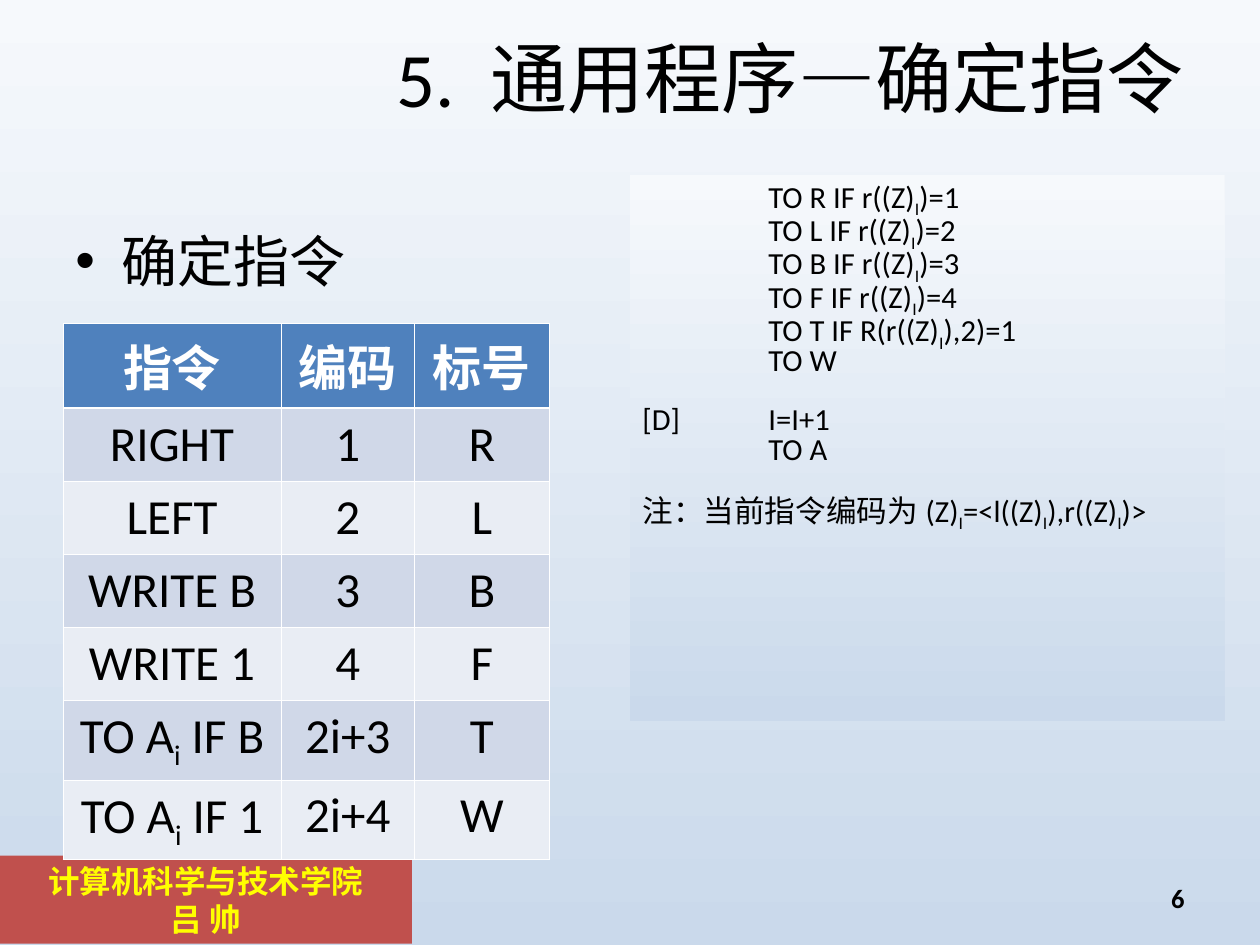
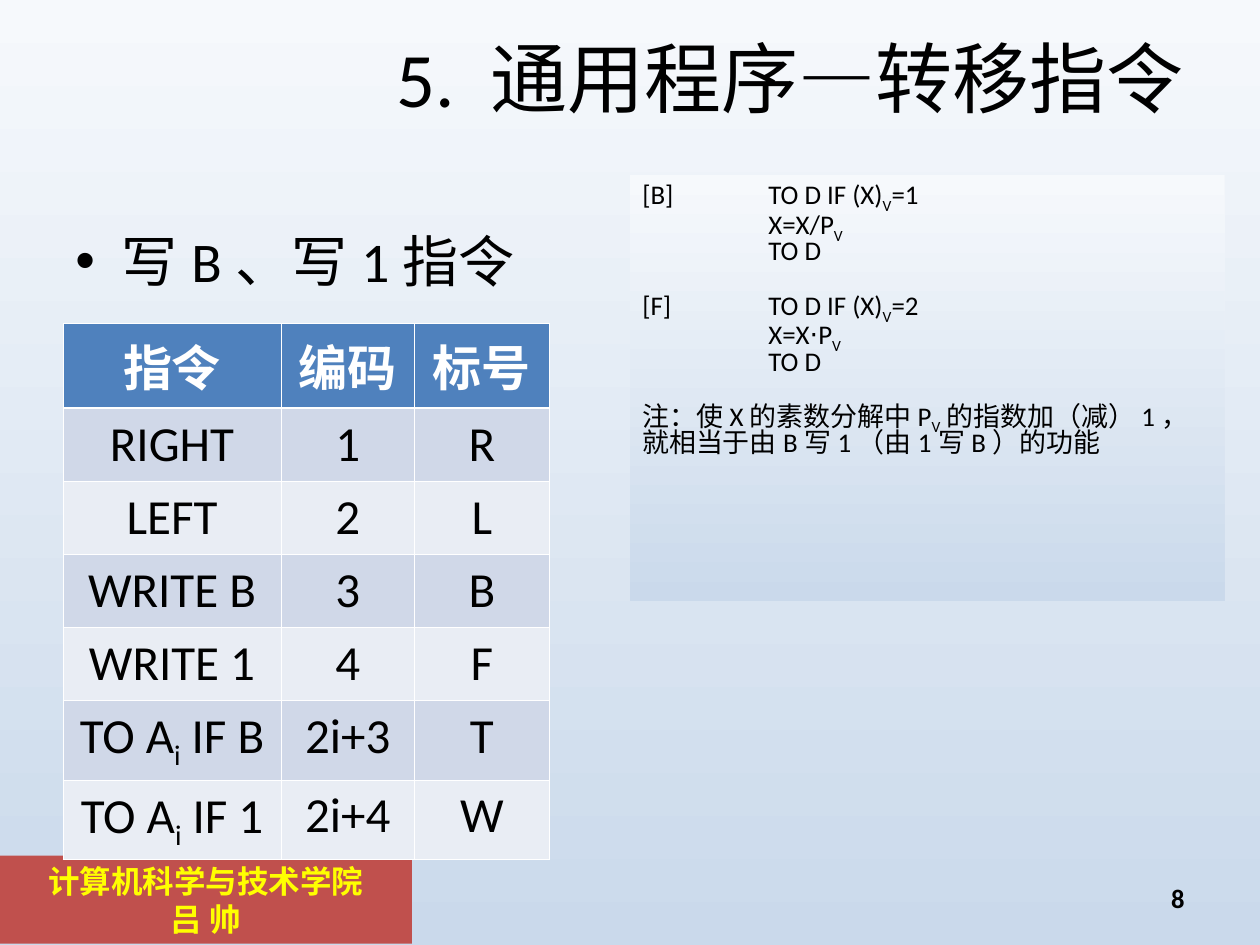
from dataclasses import dataclass

from lxml.etree import SubElement
from pptx import Presentation
from pptx.dml.color import RGBColor
from pptx.enum.shapes import MSO_SHAPE
from pptx.enum.text import MSO_ANCHOR, PP_ALIGN
from pptx.oxml.ns import qn
from pptx.util import Inches, Pt


@dataclass(frozen=True)
class Theme:
    font: str = "Calibri"
    symbol_font: str = "Arial"
    black: str = "000000"
    white: str = "FFFFFF"
    sky_top: str = "F6F9FC"
    sky_bottom: str = "CAD9EB"
    band: str = "C0504D"
    band_text: str = "FFFF00"
    header: str = "4F81BD"
    row_dark: str = "D0D8E8"
    row_light: str = "E9EDF4"
    title_size: float = 44
    topic_size: float = 32
    table_size: float = 28
    band_size: float = 18
    number_size: float = 15.2
    thin_line: float = 0.45
    thick_line: float = 1.47


theme = Theme()

SLIDES = [
    {
        "title": "5. 通用程序—确定指令",
        "topic": "确定指令",
        "number": "6",
        "code_height": 4.33,
        "code_size": 17.5,
        "code": [
            ["\tTO R IF r((Z)_I)=1", "\tTO L IF r((Z)_I)=2", "\tTO B IF r((Z)_I)=3",
             "\tTO F IF r((Z)_I)=4", "\tTO T IF R(r((Z)_I),2)=1", "\tTO W"],
            ["[D]\tI=I+1", "\tTO A"],
            ["注：当前指令编码为(Z)_I=<l((Z)_I),r((Z)_I)>"],
        ],
    },
    {
        "title": "5. 通用程序—转移指令",
        "topic": "写B、写1指令",
        "number": "8",
        "code_height": 3.38,
        "code_size": 15.4,
        "code": [
            ["[B]\tTO D IF (X)_V=1", "\tX=X/P_V", "\tTO D"],
            ["[F]\tTO D IF (X)_V=2", "\tX=X⋅P_V", "\tTO D"],
            ["注：使X的素数分解中P_V的指数加（减）1，就相当于由B写1（由1写B）的功能"],
        ],
    },
]

INSTRUCTIONS = [
    ("指令", "编码", "标号"),
    ("RIGHT", "1", "R"),
    ("LEFT", "2", "L"),
    ("WRITE B", "3", "B"),
    ("WRITE 1", "4", "F"),
    ("TO A_i IF B", "2i+3", "T"),
    ("TO A_i IF 1", "2i+4", "W"),
]
COLUMN_WIDTHS = [1.73, 1.06, 1.07]
ROW_HEIGHTS = [0.67] + [0.58] * 4 + [0.63] * 2


def write(frame, blocks, size, color=theme.black, font=theme.font, bold=False,
          align=PP_ALIGN.LEFT, anchor=MSO_ANCHOR.TOP, line_spacing=None,
          before=0, block_gap=0, tab=None):
    """Write blocks of lines; an underscore makes the next letter a subscript."""
    frame.word_wrap = True
    frame.vertical_anchor = anchor
    lines = [(line, block_gap if block_index and not line_index else before)
             for block_index, block in enumerate(blocks)
             for line_index, line in enumerate(block)]
    for index, (line, gap) in enumerate(lines):
        para = frame.add_paragraph() if index else frame.paragraphs[0]
        para.alignment = align
        para.space_before = Pt(gap)
        para.line_spacing = line_spacing
        if tab:
            stops = SubElement(para._p.get_or_add_pPr(), qn("a:tabLst"))
            SubElement(stops, qn("a:tab"), pos=str(Inches(tab)), algn="l")
        first, *rest = line.split("_")
        pieces = [(first, False)]
        for part in rest:
            pieces += [(part[0], True), (part[1:], False)]
        for piece, lowered in pieces:
            for text in piece.replace("⋅", "|⋅|").split("|"):
                if not text:
                    continue
                span = para.add_run()
                span.text = text
                span.font.name = theme.symbol_font if text == "⋅" else font
                span.font.size = Pt(size)
                span.font.bold = bold
                span.font.color.rgb = RGBColor.from_string(color)
                if lowered:
                    span.font._element.set("baseline", "-25000")


def fill_sky(fill):
    """Fill with the pale vertical gradient shared by pages and code boxes."""
    fill.gradient()
    fill.gradient_angle = 270
    for stop, color in zip(fill.gradient_stops, (theme.sky_top, theme.sky_bottom)):
        stop.color.rgb = RGBColor.from_string(color)


deck = Presentation()
deck.slide_width = Inches(10)
deck.slide_height = Inches(7.5)

for content in SLIDES:
    page = deck.slides.add_slide(deck.slide_layouts[6])
    fill_sky(page.background.fill)

    # Footer band
    band = page.shapes.add_shape(MSO_SHAPE.RECTANGLE, Inches(0), Inches(6.79),
                                 Inches(3.27), Inches(0.7))
    band.shadow.inherit = False
    band.fill.solid()
    band.fill.fore_color.rgb = RGBColor.from_string(theme.band)
    band.line.fill.background()
    write(band.text_frame, [["计算机科学与技术学院", "吕 帅"]], theme.band_size,
          color=theme.band_text, font=theme.symbol_font, bold=True,
          align=PP_ALIGN.CENTER)

    # Title, topic and page number
    title = page.shapes.add_textbox(Inches(0.5), Inches(0.3), Inches(9), Inches(0.61))
    write(title.text_frame, [[content["title"]]], theme.title_size,
          align=PP_ALIGN.RIGHT, anchor=MSO_ANCHOR.MIDDLE)

    topic = page.shapes.add_textbox(Inches(0.5), Inches(1.75), Inches(4.5), Inches(4.95))
    write(topic.text_frame, [[content["topic"]]], theme.topic_size, before=8)
    bullet_format = topic.text_frame.paragraphs[0]._p.get_or_add_pPr()
    bullet_format.set("marL", str(Inches(0.37)))
    bullet_format.set("indent", str(Inches(-0.37)))
    SubElement(bullet_format, qn("a:buFont"), typeface="Arial")
    SubElement(bullet_format, qn("a:buChar"), char="•")

    number = page.shapes.add_textbox(Inches(7.17), Inches(6.95), Inches(2.33), Inches(0.4))
    write(number.text_frame, [[content["number"]]], theme.number_size, bold=True,
          align=PP_ALIGN.RIGHT, anchor=MSO_ANCHOR.MIDDLE, line_spacing=0.8, before=8)

    # Program listing
    code_box = page.shapes.add_shape(MSO_SHAPE.RECTANGLE, Inches(5), Inches(1.39),
                                     Inches(4.72), Inches(content["code_height"]))
    code_box.shadow.inherit = False
    fill_sky(code_box.fill)
    code_box.line.fill.background()
    write(code_box.text_frame, content["code"], content["code_size"],
          line_spacing=0.8, block_gap=content["code_size"] * 0.96, tab=1)

    # Instruction table
    table = page.shapes.add_table(len(INSTRUCTIONS), len(COLUMN_WIDTHS), Inches(0.5),
                                  Inches(2.57), Inches(sum(COLUMN_WIDTHS)),
                                  Inches(sum(ROW_HEIGHTS))).table
    for column, width in zip(table.columns, COLUMN_WIDTHS):
        column.width = Inches(width)
    for row, height in zip(table.rows, ROW_HEIGHTS):
        row.height = Inches(height)

    for row_index, labels in enumerate(INSTRUCTIONS):
        is_header = row_index == 0
        if is_header:
            row_color = theme.header
        else:
            row_color = theme.row_dark if row_index % 2 else theme.row_light
        edges = {"L": theme.thin_line, "R": theme.thin_line,
                 "T": theme.thick_line if row_index == 1 else theme.thin_line,
                 "B": theme.thick_line if is_header else theme.thin_line}
        for column_index, label in enumerate(labels):
            cell = table.cell(row_index, column_index)
            write(cell.text_frame, [[label]], theme.table_size,
                  color=theme.white if is_header else theme.black,
                  bold=is_header, align=PP_ALIGN.CENTER)
            if column_index == 0 and not is_header:
                cell.vertical_anchor = MSO_ANCHOR.MIDDLE
            else:
                cell.vertical_anchor = MSO_ANCHOR.TOP
            cell_format = cell._tc.get_or_add_tcPr()
            for side, weight in edges.items():
                edge = SubElement(cell_format, qn(f"a:ln{side}"), w=str(Pt(weight)))
                edge_fill = SubElement(edge, qn("a:solidFill"))
                SubElement(edge_fill, qn("a:srgbClr"), val=theme.white)
            cell.fill.solid()
            cell.fill.fore_color.rgb = RGBColor.from_string(row_color)

deck.save("out.pptx")
